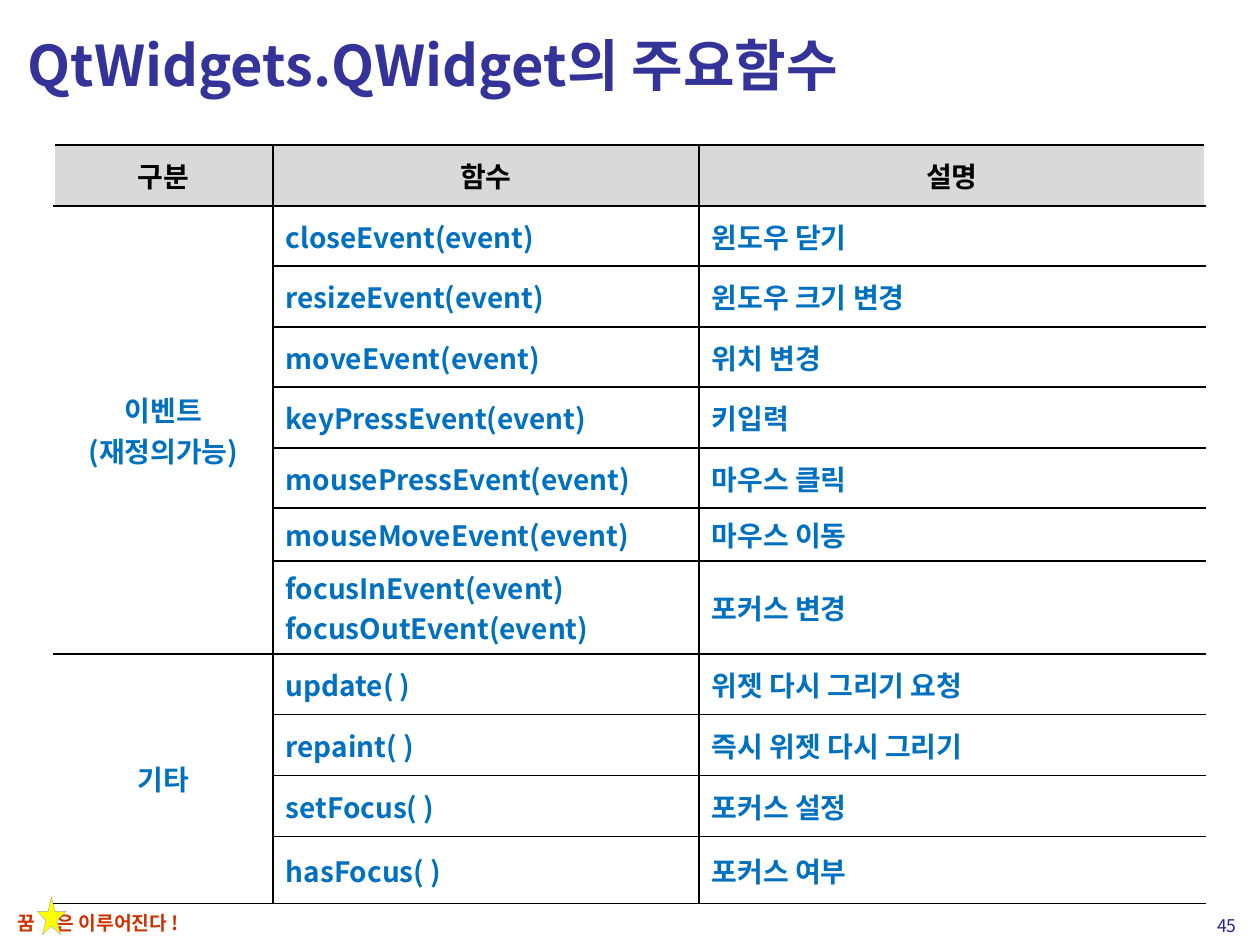
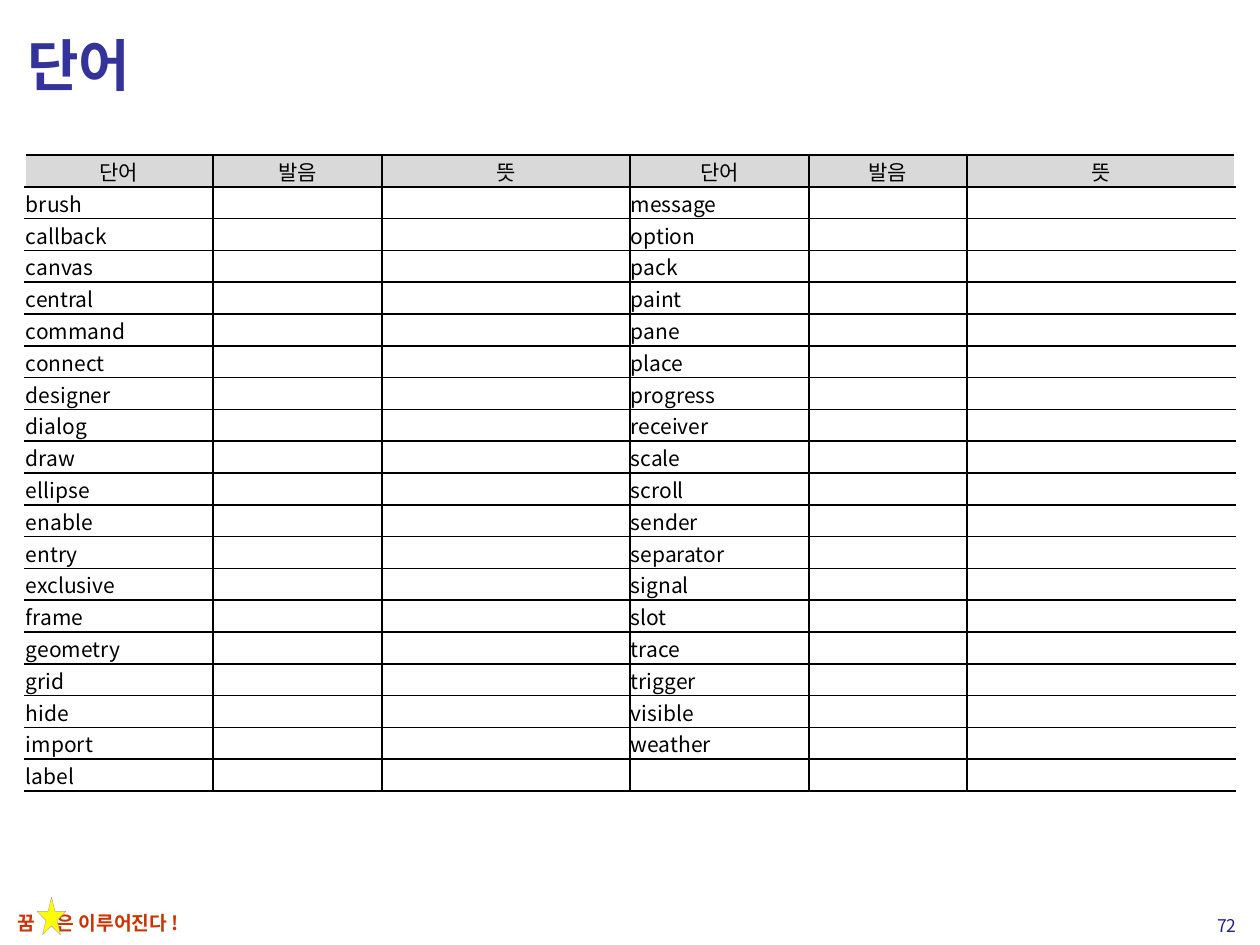
from lxml.etree import SubElement
from pptx import Presentation
from pptx.dml.color import RGBColor
from pptx.enum.shapes import MSO_SHAPE
from pptx.enum.text import MSO_ANCHOR, PP_ALIGN
from pptx.oxml.ns import qn
from pptx.util import Emu, Pt

STAR = MSO_SHAPE.STAR_5_POINT
MIDDLE = MSO_ANCHOR.MIDDLE
LEFT, CENTER, RIGHT = PP_ALIGN.LEFT, PP_ALIGN.CENTER, PP_ALIGN.RIGHT

SCALE = 914400 / 126
FONT = "Noto Sans CJK KR"
COLORS = {
    "title": "333399",
    "slogan": "CC3300",
    "number": "22228B",
    "star": "FFFF00",
    "star_line": "A6A6A6",
    "header": "D9D9D9",
    "body": "0070C0",
    "black": "000000",
    "white": "FFFFFF",
}

EVENT_ROWS = [
    ("구분", "함수", "설명"),
    ("이벤트\n(재정의가능)", "closeEvent(event)", "윈도우 닫기"),
    ("", "resizeEvent(event)", "윈도우 크기 변경"),
    ("", "moveEvent(event)", "위치 변경"),
    ("", "keyPressEvent(event)", "키입력"),
    ("", "mousePressEvent(event)", "마우스 클릭"),
    ("", "mouseMoveEvent(event)", "마우스 이동"),
    ("", "focusInEvent(event)\nfocusOutEvent(event)", "포커스 변경"),
    ("기타", "update( )", "위젯 다시 그리기 요청"),
    ("", "repaint( )", "즉시 위젯 다시 그리기"),
    ("", "setFocus( )", "포커스 설정"),
    ("", "hasFocus( )", "포커스 여부"),
]
LEFT_WORDS = (
    "brush callback canvas central command connect designer dialog draw ellipse "
    "enable entry exclusive frame geometry grid hide import label"
).split()
RIGHT_WORDS = (
    "message option pack paint pane place progress receiver scale scroll "
    "sender separator signal slot trace trigger visible weather"
).split() + [""]


def px(n):
    return Emu(round(n * SCALE))


def rgb(name):
    return RGBColor.from_string(COLORS[name])


class Deck:
    """Holds the shared style and the current slide."""

    def __init__(self):
        self.prs = Presentation()
        self.prs.slide_width, self.prs.slide_height = px(1260), px(945)
        self.s = None

    def slide(self, title, number):
        self.s = self.prs.slides.add_slide(self.prs.slide_layouts[6])
        p = self.text(5, 905, 659, 35, "꿈\t은 이루어진다 !", 11, "slogan", bold=True)
        tabs = SubElement(p._p.get_or_add_pPr(), qn("a:tabLst"))
        SubElement(tabs, qn("a:tab"), pos=str(px(39)), algn="l")
        self.star(37, 897, 29, 38)
        self.text(15, 13, 1230, 103, title, 32, "title", bold=True)
        self.text(1176, 903, 73, 44, number, 10, "number", align=RIGHT)

    def run(self, p, text, size, color, bold=False, align=LEFT):
        p.alignment = align
        if not text:
            SubElement(p._p, qn("a:endParaRPr"), sz=str(size * 100))
            return
        r = p.add_run()
        r.text = text
        r.font.size, r.font.bold, r.font.name = Pt(size), bold, FONT
        r.font.color.rgb = rgb(color)
        SubElement(r._r.get_or_add_rPr(), qn("a:ea"), typeface=FONT)

    def text(self, x, y, w, h, text, size, color, bold=False, align=LEFT):
        tf = self.s.shapes.add_textbox(px(x), px(y), px(w), px(h)).text_frame
        tf.word_wrap = True
        tf.vertical_anchor = MIDDLE
        self.run(tf.paragraphs[0], text, size, color, bold, align)
        return tf.paragraphs[0]

    def star(self, x, y, w, h):
        sp = self.s.shapes.add_shape(STAR, px(x), px(y), px(w), px(h))
        sp.shadow.inherit = False
        sp.fill.solid()
        sp.fill.fore_color.rgb = rgb("star")
        sp.line.color.rgb = rgb("star_line")
        sp.line.width = Pt(0.25)

    def borders(self, cell, first, last):
        tcPr = cell._tc.get_or_add_tcPr()
        sides = {"L": first, "R": last, "T": False, "B": False}
        for side, outer in sides.items():
            ln = SubElement(tcPr, qn(f"a:ln{side}"), w=str(Pt(1)))
            fill = SubElement(ln, qn("a:solidFill"))
            color = COLORS["white" if outer else "black"]
            SubElement(fill, qn("a:srgbClr"), val=color)

    def table(self, x, y, widths, heights, rows, size, color, bold=False,
              insets=(13, 6, 13, 6), centered=(), merges=()):
        frame = self.s.shapes.add_table(
            len(rows), len(widths), px(x), px(y), px(sum(widths)), px(sum(heights)))
        table = frame.table
        table.first_row = table.horz_banding = False
        for col, w in zip(table.columns, widths):
            col.width = px(w)
        for row, h in zip(table.rows, heights):
            row.height = px(h)
        for i, row in enumerate(rows):
            for j, text in enumerate(row):
                cell = table.cell(i, j)
                self.borders(cell, j == 0, j == len(row) - 1)
                cell.fill.solid()
                cell.fill.fore_color.rgb = rgb("white" if i else "header")
                cell.vertical_anchor = MIDDLE
                (cell.margin_left, cell.margin_top,
                 cell.margin_right, cell.margin_bottom) = map(px, insets)
                align = CENTER if i == 0 or j in centered else LEFT
                tf = cell.text_frame
                for k, line in enumerate(text.split("\n")):
                    p = tf.add_paragraph() if k else tf.paragraphs[0]
                    self.run(p, line, size, color if i else "black", bold, align)
        for top, bottom in merges:
            table.cell(top, 0).merge(table.cell(bottom, 0))


def main():
    deck = Deck()

    deck.slide("QtWidgets.QWidget의 주요함수", "45")
    deck.table(54, 145, [219, 426, 506], [61, 60] * 3 + [53, 93] + [61] * 3 + [67],
               EVENT_ROWS, 16, "body", bold=True, centered=(0,),
               merges=[(1, 7), (8, 11)])

    deck.slide("단어", "72")
    words = [("단어", "발음", "뜻") * 2]
    words += [(a, "", "", b, "", "") for a, b in zip(LEFT_WORDS, RIGHT_WORDS)]
    deck.table(25, 155, [188, 169, 248, 179, 158, 268], [636 / len(words)] * len(words),
               words, 12, "black", insets=(1, 1, 1, 0))

    deck.prs.save("out.pptx")


if __name__ == "__main__":
    main()
